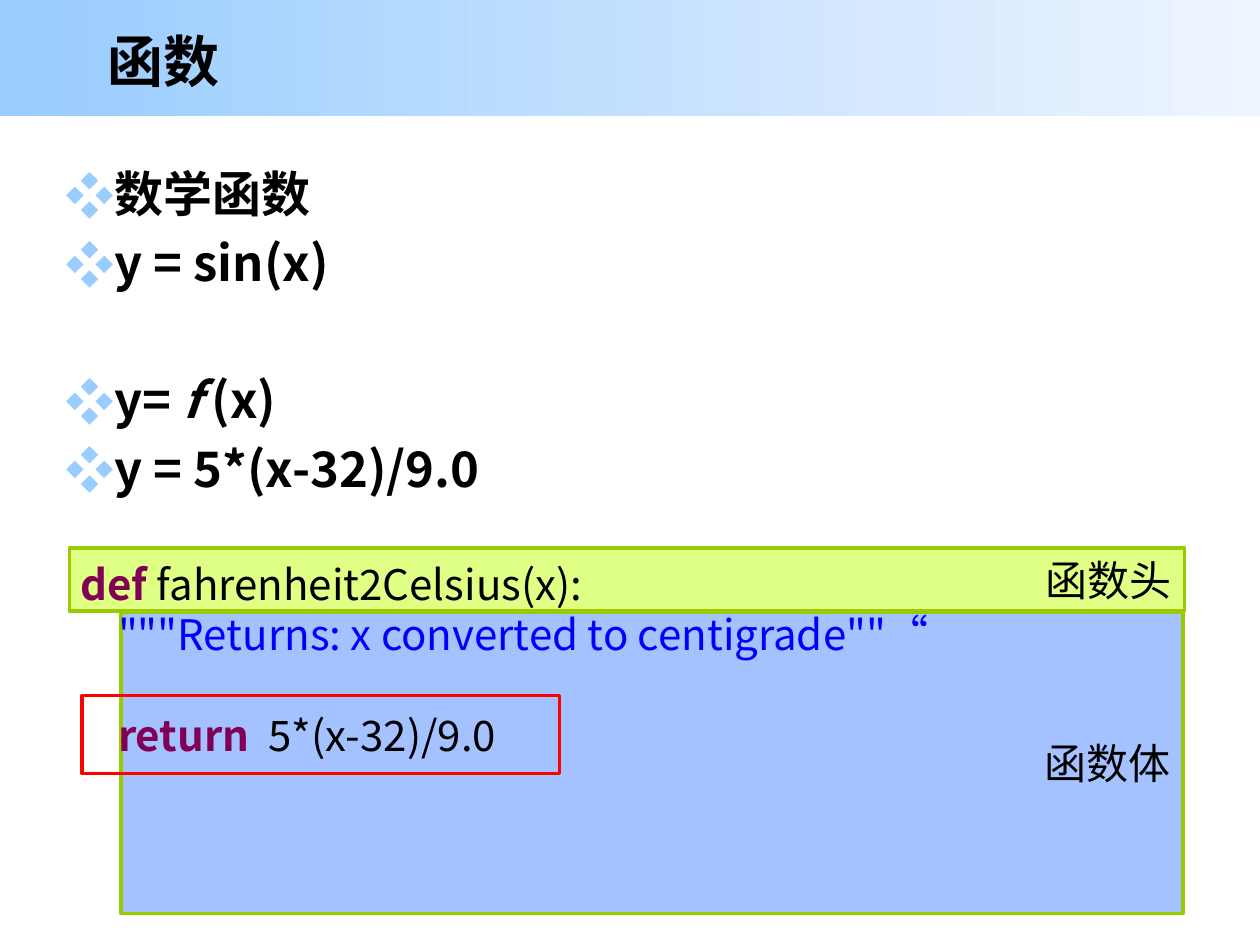
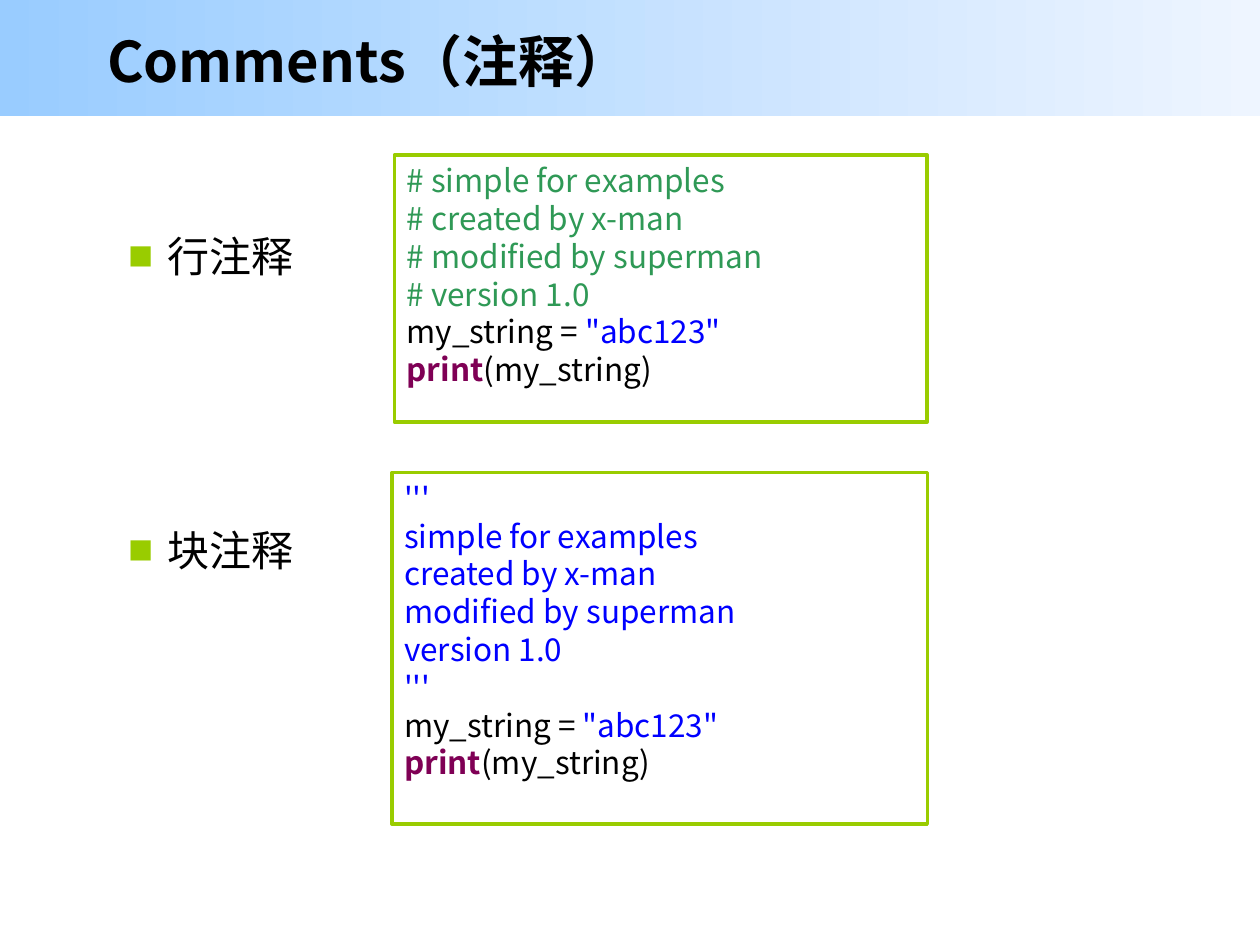
from lxml import etree
from pptx import Presentation
from pptx.dml.color import RGBColor
from pptx.enum.shapes import MSO_SHAPE
from pptx.enum.text import MSO_ANCHOR, MSO_AUTO_SIZE, PP_ALIGN
from pptx.oxml.ns import qn
from pptx.util import Inches, Pt

RECTANGLE = MSO_SHAPE.RECTANGLE
TOP, MIDDLE = MSO_ANCHOR.TOP, MSO_ANCHOR.MIDDLE
LEFT, RIGHT = PP_ALIGN.LEFT, PP_ALIGN.RIGHT
NO_AUTOFIT = MSO_AUTO_SIZE.NONE

FONT = "Noto Sans CJK SC"
LINE_HEIGHT = 1.2
BLACK, RED = "000000", "FF0000"
SKY, PALE_SKY = "99CCFF", "EEF5FF"
GREEN, LIME, BLUE_PANEL = "99CC00", "E0FF85", "A3C2FF"
KEYWORD, STRING, COMMENT = "7F0055", "0000FF", "2F9956"

# Bullet styles: character, colour, size in percent, left margin, hanging indent
DIAMOND = ("❖", SKY, 100, 0.38, 0.38)
SQUARE = ("■", GREEN, 60, 0.81, 0.31)

PRINT_EXAMPLE = [
    [("my_string = ", BLACK), ('"abc123"', STRING)],
    [("print", KEYWORD), ("(my_string)", BLACK)],
]
VERSION_NOTES = ["simple for examples", "created by x-man",
                 "modified by superman", "version 1.0"]


def rgb(hex_colour):
    return RGBColor.from_string(hex_colour)


def place(shape, left, top, width, height):
    shape.left, shape.top = Inches(left), Inches(top)
    shape.width, shape.height = Inches(width), Inches(height)


def add_run(paragraph, text, size, colour=BLACK, bold=False, italic=False):
    run = paragraph.add_run()
    run.text = text
    font = run.font
    font.name, font.size = FONT, Pt(size)
    font.bold, font.italic = bold, italic
    font.color.rgb = rgb(colour)
    east_asian = etree.Element(qn("a:ea"), typeface=FONT)
    font._element.find(qn("a:latin")).addnext(east_asian)


def next_paragraph(frame, index, size, gap=0, align=LEFT):
    """Return paragraph number index, with the shared line height."""
    paragraph = frame.add_paragraph() if index else frame.paragraphs[0]
    paragraph.alignment = align
    paragraph.line_spacing = Pt(size * LINE_HEIGHT)
    paragraph.space_before = Pt(gap)
    return paragraph


def set_bullet(paragraph, bullet):
    character, colour, percent, margin, hanging = bullet
    properties = paragraph._p.get_or_add_pPr()
    properties.set("marL", str(Inches(margin)))
    properties.set("indent", str(-Inches(hanging)))
    bullet_colour = etree.SubElement(properties, qn("a:buClr"))
    etree.SubElement(bullet_colour, qn("a:srgbClr"), val=colour)
    etree.SubElement(properties, qn("a:buSzPct"), val=str(percent * 1000))
    etree.SubElement(properties, qn("a:buFont"), typeface=FONT)
    etree.SubElement(properties, qn("a:buChar"), char=character)


def add_panel(slide, box, fill=None, line=None):
    panel = slide.shapes.add_shape(RECTANGLE, *map(Inches, box))
    panel.shadow.inherit = False
    if fill:
        panel.fill.solid()
        panel.fill.fore_color.rgb = rgb(fill)
    else:
        panel.fill.background()
    if line:
        panel.line.color.rgb = rgb(line)
        panel.line.width = Pt(2)
    else:
        panel.line.fill.background()
    return panel


def add_labelled_panel(slide, box, fill, label):
    frame = add_panel(slide, box, fill, GREEN).text_frame
    frame.vertical_anchor = MIDDLE
    add_run(next_paragraph(frame, 0, 24, align=RIGHT), label, 24)


def write_code(frame, lines, size, gaps=None):
    """Write lines of (text, colour) pieces; gaps maps a line to its space before."""
    frame.word_wrap = True
    frame.vertical_anchor = TOP
    for index, pieces in enumerate(lines):
        paragraph = next_paragraph(frame, index, size, (gaps or {}).get(index, 0))
        for text, colour in pieces:
            add_run(paragraph, text, size, colour, bold=colour == KEYWORD)


def add_code_panel(slide, box, lines):
    write_code(add_panel(slide, box, line=GREEN).text_frame, lines, 18)


def set_up_layout(layout):
    """Give the title and body placeholders their shared places."""
    title, body = list(layout.placeholders)[:2]
    place(title, 0.75, 0.14, 8.14, 0.67)
    place(body, 0.42, 1.25, 9.25, 5.42)


def add_slide(deck, layout, heading):
    slide = deck.slides.add_slide(layout)
    band = add_panel(slide, (0, 0, 10, 0.92), SKY)
    band.fill.gradient()
    band.fill.gradient_angle = 0
    for stop, colour in zip(band.fill.gradient_stops, (SKY, PALE_SKY)):
        stop.color.rgb = rgb(colour)
    title = slide.shapes.title
    title.element.addprevious(band.element)
    frame = title.text_frame
    frame.auto_size = NO_AUTOFIT
    frame.vertical_anchor = MIDDLE
    add_run(next_paragraph(frame, 0, 32), heading, 32, bold=True)
    return slide


def write_list(slide, items, size, bullet, bold, level=0):
    """Write items of (space before, [(text, italic), ...])."""
    frame = slide.placeholders[1].text_frame
    frame.auto_size = NO_AUTOFIT
    for index, (gap, pieces) in enumerate(items):
        paragraph = next_paragraph(frame, index, size, gap)
        paragraph.level = level
        set_bullet(paragraph, bullet)
        for text, italic in pieces:
            add_run(paragraph, text, size, bold=bold, italic=italic)


def build_functions(deck, layout):
    slide = add_slide(deck, layout, "函数")
    formulas = [
        (0, [("数学函数", False)]),
        (5.6, [("y = sin(x)", False)]),
        (44.8, [("y= ", False), ("f ", True), ("(x)", False)]),
        (5.6, [("y = 5*(x-32)/9.0", False)]),
    ]
    write_list(slide, formulas, 28, DIAMOND, bold=True)
    add_labelled_panel(slide, (0.96, 4.86, 8.43, 2.39), BLUE_PANEL, "函数体")
    add_labelled_panel(slide, (0.55, 4.35, 8.85, 0.5), LIME, "函数头")
    definition = [
        [("def ", KEYWORD), ("fahrenheit2Celsius(x):", BLACK)],
        [('    """Returns: x converted to centigrade""“', STRING)],
        [("    ", BLACK), ("return  ", KEYWORD), ("5*(x-32)/9.0", BLACK)],
    ]
    code = slide.shapes.add_textbox(*map(Inches, (0.54, 4.38, 8.35, 2.12)))
    write_code(code.text_frame, definition, 24, gaps={2: 24 * LINE_HEIGHT})
    add_panel(slide, (0.65, 5.52, 3.79, 0.62), line=RED)


def build_comments(deck, layout):
    slide = add_slide(deck, layout, "Comments（注释）")
    place(slide.placeholders[1], 0.42, 1.78, 9.25, 4.89)
    kinds = [(0, [("行注释", False)]), (139, [("块注释", False)])]
    write_list(slide, kinds, 24, SQUARE, bold=False, level=1)
    line_comments = [[("# " + note, COMMENT)] for note in VERSION_NOTES]
    block_comment = [[(text, STRING)] for text in ["'''", *VERSION_NOTES, "'''"]]
    add_code_panel(slide, (3.11, 3.75, 4.25, 2.79), block_comment + PRINT_EXAMPLE)
    add_code_panel(slide, (3.13, 1.23, 4.23, 2.12), line_comments + PRINT_EXAMPLE)


def main():
    deck = Presentation()
    deck.slide_width, deck.slide_height = Inches(10), Inches(7.5)
    layout = deck.slide_layouts[1]
    set_up_layout(layout)
    build_functions(deck, layout)
    build_comments(deck, layout)
    deck.save("out.pptx")


if __name__ == "__main__":
    main()
